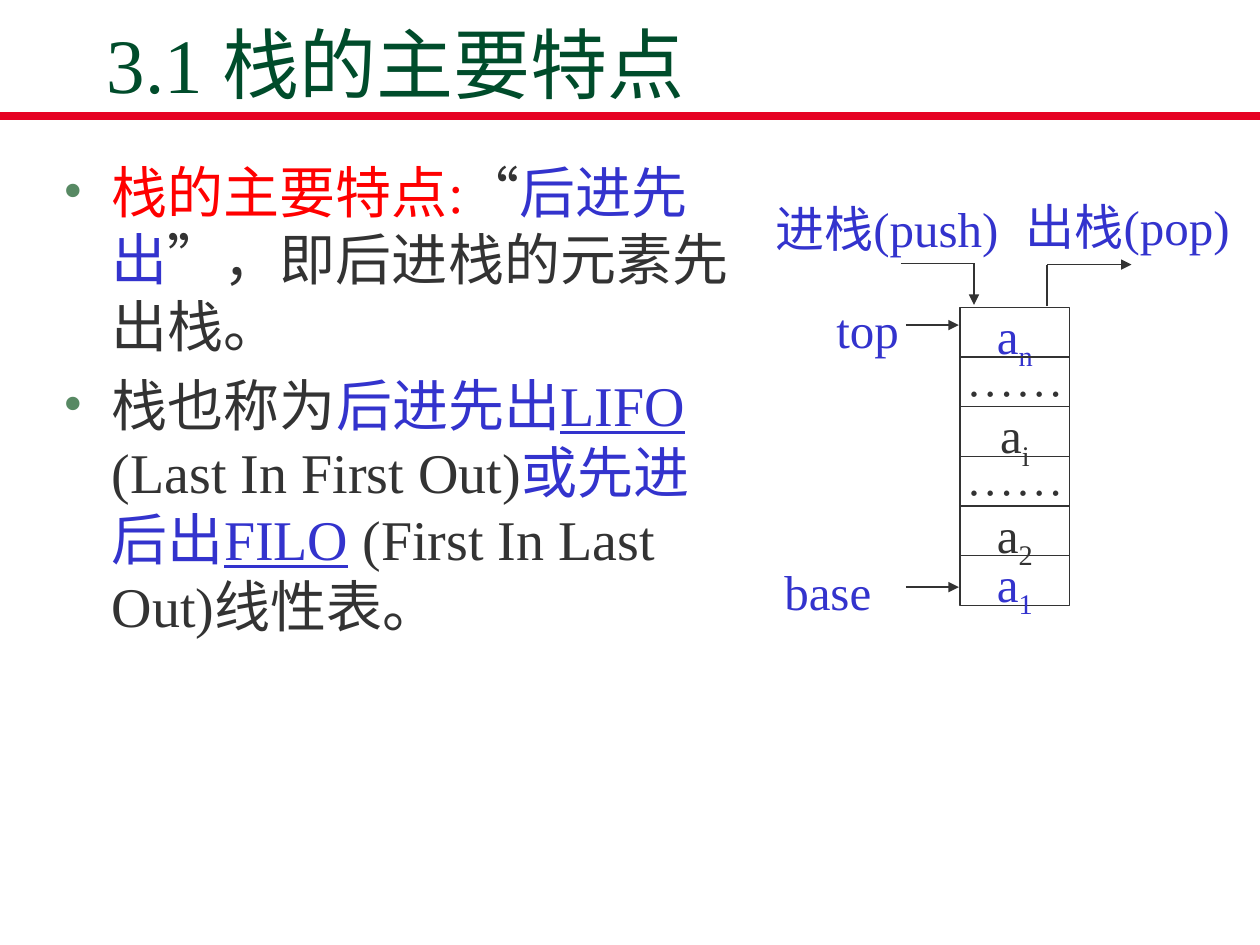
from lxml.etree import SubElement
from pptx import Presentation
from pptx.dml.color import RGBColor
from pptx.enum.shapes import MSO_CONNECTOR as Connector, MSO_SHAPE as Shape
from pptx.enum.text import MSO_ANCHOR as Anchor, PP_ALIGN as Align
from pptx.oxml.ns import qn
from pptx.util import Inches, Pt

COLORS = {"title": "004C2B", "rule": "E60223", "text": "333333",
          "key": "3333CD", "alert": "FF0000", "bullet": "578963"}
FONT = "Times New Roman"
COLUMNS, ROWS = 100, 75


class SlideBuilder:
    """Draws styled elements on a slide; lengths are grid columns and rows."""

    def __init__(self, presentation):
        self.slide = presentation.slides.add_slide(presentation.slide_layouts[6])
        self.column = presentation.slide_width / COLUMNS
        self.row = presentation.slide_height / ROWS

    def place(self, *lengths):
        units = (self.column, self.row) * 2
        return [round(length * unit) for length, unit in zip(lengths, units)]

    def color(self, name):
        return RGBColor.from_string(COLORS[name])

    def add_run(self, paragraph, text, color, size, underline=False, subscript=False):
        run = paragraph.add_run()
        run.text = text
        run.font.name, run.font.size = FONT, Pt(size)
        run.font.color.rgb = self.color(color)
        if underline:
            run.font.underline = True
        if subscript:
            run.font._element.set("baseline", "-25000")

    def text_box(self, box, anchor=Anchor.TOP):
        frame = self.slide.shapes.add_textbox(*self.place(*box)).text_frame
        frame.word_wrap, frame.vertical_anchor = True, anchor
        return frame

    def title(self, box, text):
        frame = self.text_box(box, Anchor.BOTTOM)
        self.add_run(frame.paragraphs[0], text, "title", 44)

    def bullets(self, box, items):
        frame = self.text_box(box)
        for index, runs in enumerate(items):
            paragraph = frame.add_paragraph() if index else frame.paragraphs[0]
            if index:
                paragraph.space_before = Pt(6.4)
            properties = paragraph._p.get_or_add_pPr()
            properties.set("marL", str(Inches(0.38)))
            properties.set("indent", str(-Inches(0.38)))
            bullet_color = SubElement(properties, qn("a:buClr"))
            SubElement(bullet_color, qn("a:srgbClr"), val=COLORS["bullet"])
            SubElement(properties, qn("a:buFont"), typeface=FONT)
            SubElement(properties, qn("a:buChar"), char="•")
            for text, color, *underline in runs:
                self.add_run(paragraph, text, color, 32, *underline)

    def centred(self, frame, text, color, subscript=""):
        frame.word_wrap, frame.vertical_anchor = False, Anchor.MIDDLE
        frame.margin_left = frame.margin_right = 0
        paragraph = frame.paragraphs[0]
        paragraph.alignment, paragraph.line_spacing = Align.CENTER, 1.2
        self.add_run(paragraph, text, color, 28)
        if subscript:
            self.add_run(paragraph, subscript, color, 28, subscript=True)

    def label(self, box, text):
        self.centred(self.text_box(box), text, "key")

    def cell(self, box, text, color, subscript=""):
        shape = self.slide.shapes.add_shape(Shape.RECTANGLE, *self.place(*box))
        shape.shadow.inherit = False
        shape.fill.background()
        shape.line.color.rgb, shape.line.width = self.color("text"), Pt(0.75)
        self.centred(shape.text_frame, text, color, subscript)

    def line(self, start, end, width=0.75, color="text", arrow=False):
        connector = self.slide.shapes.add_connector(
            Connector.STRAIGHT, *self.place(*start, *end))
        connector.line.color.rgb, connector.line.width = self.color(color), Pt(width)
        if arrow:
            SubElement(connector.line._get_or_add_ln(), qn("a:tailEnd"), type="triangle")
        SubElement(connector._element.spPr, qn("a:effectLst"))


def main():
    presentation = Presentation()
    presentation.slide_width, presentation.slide_height = Inches(10), Inches(7.5)
    builder = SlideBuilder(presentation)

    # Heading and rule
    builder.line((0, 9.2), (COLUMNS, 9.2), 4.5, "rule")
    builder.title((7.5, 2.6, 85, 6.5), "3.1 栈的主要特点")

    # Explanation
    builder.bullets((4.1, 12, 55.6, 25.3), [
        [("栈的主要特点:", "alert"), ("“", "text"), ("后进先出", "key"),
         ("”，即后进栈的元素先出栈。", "text")],
        [("栈也称为", "text"), ("后进先出", "key"), ("LIFO", "key", True),
         (" (Last In First Out)", "text"), ("或先进后出", "key"),
         ("FILO", "key", True), (" (First In Last Out)线性表。", "text")],
    ])

    # Stack cells, top to bottom
    left, top, width, height = 76.2, 24.4, 8.7, 3.94
    cells = [("a", "key", "n"), ("⋯⋯", "text"), ("a", "text", "i"),
             ("⋯⋯", "text"), ("a", "text", "2"), ("a", "key", "1")]
    for index, content in enumerate(cells):
        builder.cell((left, top + index * height, width, height), *content)

    # Pointers to the ends of the stack
    for box, text, arrow_row in [((64.9, 23.3, 7.9, 4.7), "top", 25.8),
                                 ((60.2, 44.1, 11, 4.7), "base", 46.6)]:
        builder.label(box, text)
        builder.line((71.9, arrow_row), (76.1, arrow_row), 1.5, arrow=True)

    # Push and pop paths
    builder.label((60.4, 15.7, 20, 3.9), "进栈(push)")
    builder.line((71.5, 20.9), (77.3, 20.9))
    builder.line((77.3, 20.9), (77.3, 24.2), arrow=True)
    builder.label((80.5, 15.5, 18, 3.9), "出栈(pop)")
    builder.line((83.1, 24.3), (83.1, 21))
    builder.line((83.1, 21), (89.8, 21), arrow=True)

    presentation.save("out.pptx")


if __name__ == "__main__":
    main()
